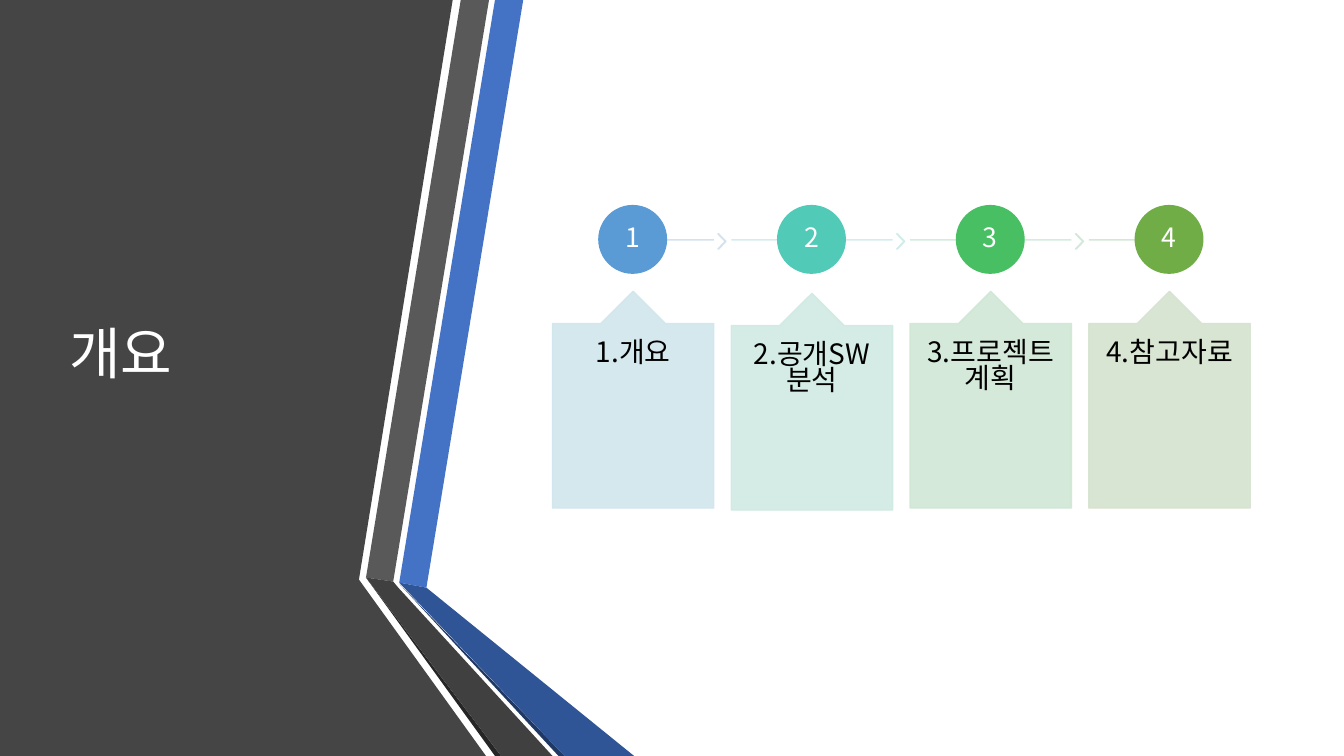
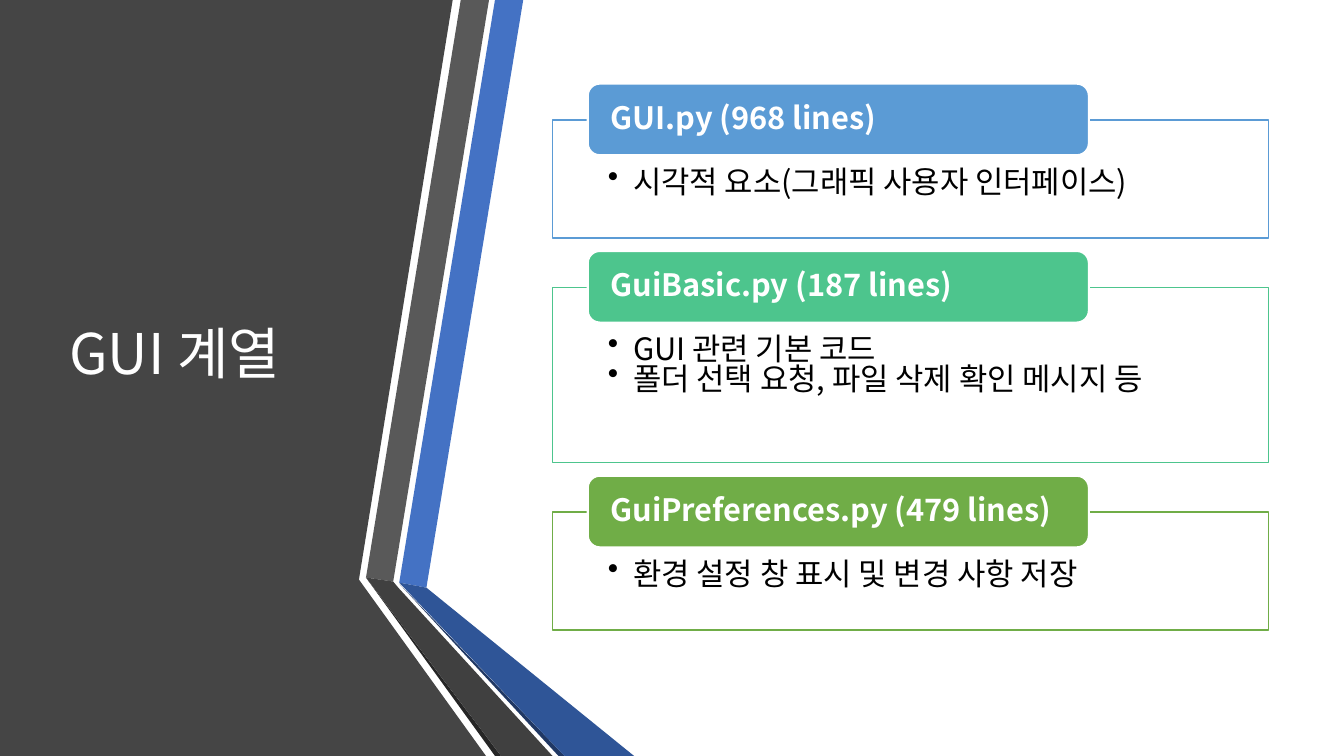
import pptx
import pptx.util
import pptx.dml.color
import pptx.enum.shapes
import pptx.enum.text
import pptx.oxml.ns
import lxml.etree

Inches = pptx.util.Inches
Pt = pptx.util.Pt
qn = pptx.oxml.ns.qn
KIND = pptx.enum.shapes.MSO_SHAPE
ALIGN = pptx.enum.text.PP_ALIGN
ANCHOR = pptx.enum.text.MSO_ANCHOR
FONT = "Noto Sans CJK KR"
WHITE, BLACK = "FFFFFF", "000000"
BLUE, GREEN = "5B9BD5", "70AD47"


def hue(code):
    return pptx.dml.color.RGBColor.from_string(code)


def style(shape, fill=None, edge=None, width=1, alpha=100, lines=(), look=None):
    if fill:
        shape.fill.solid()
        shape.fill.fore_color.rgb = hue(fill)
    if edge:
        shape.line.color.rgb = hue(edge)
        shape.line.width = Pt(width)
    else:
        shape.line.fill.background()
    props = shape.element.spPr
    if alpha < 100:
        for paint in list(props.iter(qn("a:srgbClr"))):
            lxml.etree.SubElement(paint, qn("a:alpha"), val=str(alpha * 1000))
    lxml.etree.SubElement(props, qn("a:effectLst"))
    if not lines:
        return
    frame = shape.text_frame
    frame.word_wrap = True
    frame.vertical_anchor = look["anchor"]
    for side, inset in zip(("left", "top", "right", "bottom"), look["inset"]):
        setattr(frame, "margin_" + side, Inches(inset))
    for spot, words in enumerate(lines):
        para = frame.add_paragraph() if spot else frame.paragraphs[0]
        for name, value in look["para"].items():
            setattr(para, name, value)
        run = para.add_run()
        run.text = words
        run.font.name = FONT
        run.font.color.rgb = hue(look["color"])
        for name, value in look["font"].items():
            setattr(run.font, name, value)
        lxml.etree.SubElement(run._r.get_or_add_rPr(), qn("a:ea"), typeface=FONT)
        if look.get("bullet"):
            ppr = para._p.get_or_add_pPr()
            ppr.set("marL", str(Inches(0.25)))
            ppr.set("indent", str(-Inches(0.25)))
            lxml.etree.SubElement(ppr, qn("a:buChar"), char="•")


TITLE = {
    "anchor": ANCHOR.MIDDLE, "inset": (0.1, 0.05, 0.1, 0.05), "color": WHITE,
    "para": {"alignment": ALIGN.LEFT, "line_spacing": 0.9}, "font": {"size": Pt(40)},
}
BADGE = {
    "anchor": ANCHOR.MIDDLE, "inset": (0.03,) * 4, "color": WHITE,
    "para": {"alignment": ALIGN.CENTER, "line_spacing": 0.9}, "font": {"size": Pt(19)},
}
CARD = {
    "anchor": ANCHOR.TOP, "inset": (0.13, 0.18, 0.13, 0.18), "color": BLACK,
    "para": {"alignment": ALIGN.CENTER, "line_spacing": 0.77}, "font": {"size": Pt(20)},
}
TAB = {
    "anchor": ANCHOR.MIDDLE, "inset": (0.19, 0, 0.19, 0), "color": WHITE,
    "para": {"alignment": ALIGN.LEFT, "line_spacing": 0.9},
    "font": {"size": Pt(22), "bold": True},
}
PANEL = {
    "anchor": ANCHOR.TOP, "inset": (0.55, 0.5, 0.55, 0.17), "color": BLACK, "bullet": True,
    "para": {"alignment": ALIGN.LEFT, "line_spacing": 0.77, "space_after": Pt(1)},
    "font": {"size": Pt(22)},
}
BANDS = [
    ("454545", [(0, 0), (4.49, 0), (3.56, 5.75), (4.82, 7.5), (0, 7.5)]),
    ("4472C4", [(3.96, 5.78), (4.23, 5.83), (5.19, 0), (4.91, 0)]),
    ("595959", [(4.85, 0), (4.57, 0), (3.63, 5.73), (3.9, 5.77)]),
    ("262626", [(3.63, 5.73), (4.91, 7.5), (4.97, 7.5)]),
    ("203864", [(3.96, 5.79), (5.54, 7.5), (5.6, 7.5)]),
    ("2F5597", [(3.96, 5.78), (5.6, 7.5), (6.29, 7.5), (4.23, 5.83)]),
    ("404040", [(5.48, 7.5), (3.95, 5.83), (3.9, 5.77), (3.63, 5.73), (4.97, 7.5)]),
]

deck = pptx.Presentation()
deck.slide_width = Inches(13.33)
deck.slide_height = Inches(7.5)
pages = []
for title in ("개요", "GUI 계열"):
    page = deck.slides.add_slide(deck.slide_layouts[6])
    pages.append(page.shapes)
    for color, points in BANDS:
        dots = [(Inches(x), Inches(y)) for x, y in points]
        path = page.shapes.build_freeform(*dots[0])
        path.add_line_segments(dots[1:], close=True)
        style(path.convert_to_shape(), color)
    box = page.shapes.add_textbox(Inches(0.59), Inches(0.75), Inches(3.04), Inches(5.58))
    style(box, lines=[title], look=TITLE)

steps, files = pages

STEPS = [
    ("1.개요", BLUE, "D1E6ED", "D2DEEF", "D1E2EE", 2.89),
    ("2.공개SW 분석", "52CAB8", "D0EAE3", "D1EAEC", "D0EBE9", 2.91),
    ("3.프로젝트 계획", "49BF64", "D0E7D5", "D0E9DE", "D0E8D9", 2.89),
    ("4.참고자료", GREEN, "D5E3CF", "CFE5D1", None, 2.89),
]
wide = 1.6
gap = 5.32 / 3
for spot, (words, color, pale, rail, tip, top) in enumerate(STEPS):
    left = 5.48 + spot * gap
    start = left if spot else left + 0.89
    stop = left + wide if tip else left + wide / 2
    line = steps.add_connector(pptx.enum.shapes.MSO_CONNECTOR.STRAIGHT,
                               Inches(start), Inches(2.38), Inches(stop), Inches(2.38))
    style(line, edge=rail, alpha=90)
    if tip:
        arrow = steps.add_shape(KIND.CHEVRON, Inches(left + 1.64), Inches(2.32),
                                Inches(0.08), Inches(0.15))
        arrow.adjustments[0] = 0.9
        style(arrow, tip, tip, alpha=90)
    badge = steps.add_shape(KIND.OVAL, Inches(left + 0.46), Inches(2.04),
                            Inches(0.67), Inches(0.67))
    style(badge, color, color, lines=[str(spot + 1)], look=BADGE)
    card = steps.add_shape(KIND.UP_ARROW_CALLOUT, Inches(left), Inches(top),
                           Inches(wide), Inches(2.15))
    for index, value in enumerate((0.5, 0.2, 0.2, 1)):
        card.adjustments[index] = value
    style(card, pale, pale, alpha=90, lines=[words], look=CARD)

FILES = [
    ("GUI.py (968 lines)", BLUE, 1.17, ["시각적 요소(그래픽 사용자 인터페이스)"]),
    ("GuiBasic.py (187 lines)", "4DC58D", 1.74,
     ["GUI 관련 기본 코드", "폴더 선택 요청, 파일 삭제 확인 메시지 등"]),
    ("GuiPreferences.py (479 lines)", GREEN, 1.17, ["환경 설정 창 표시 및 변경 사항 저장"]),
]
top = 1.19
for name, color, tall, notes in FILES:
    panel = files.add_shape(KIND.RECTANGLE, Inches(5.48), Inches(top), Inches(7.1), Inches(tall))
    style(panel, WHITE, color, alpha=100, lines=notes, look=PANEL)
    tab = files.add_shape(KIND.ROUNDED_RECTANGLE, Inches(5.83), Inches(top - 0.36),
                          Inches(4.97), Inches(0.71))
    style(tab, color, WHITE, 1.5, lines=[name], look=TAB)
    top += tall + 0.49

deck.save("out.pptx")
